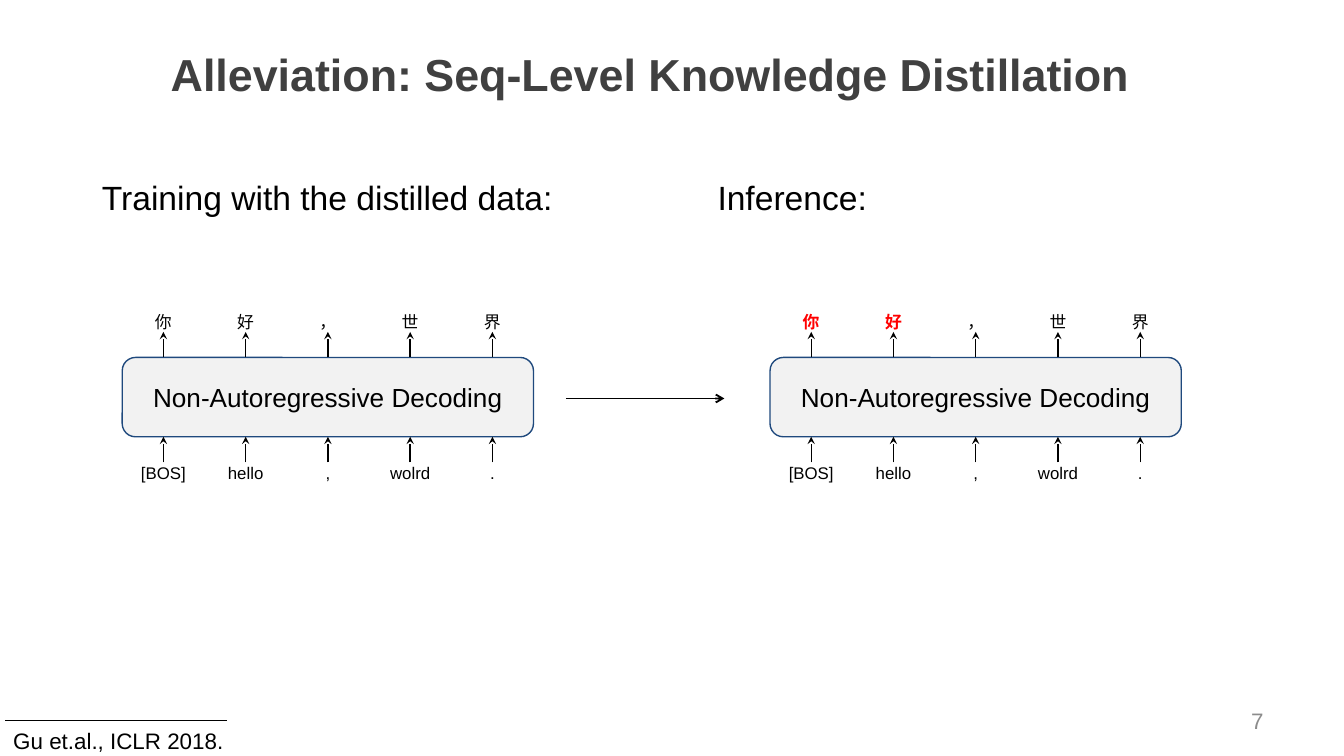
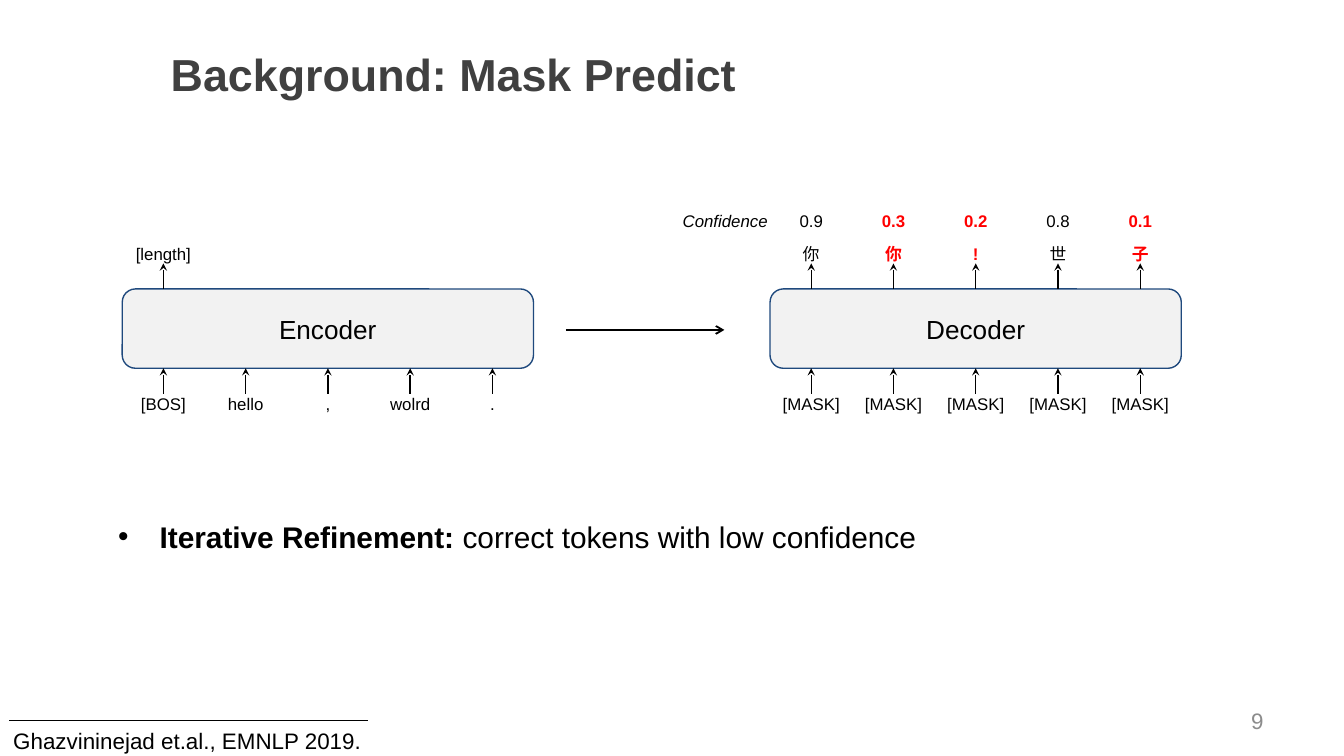
from lxml import etree
from pptx import Presentation
from pptx.dml.color import RGBColor
from pptx.enum.shapes import MSO_CONNECTOR, MSO_SHAPE
from pptx.enum.text import MSO_ANCHOR as ANCHOR, MSO_AUTO_SIZE as AUTO, PP_ALIGN as ALIGN
from pptx.oxml.ns import qn
from pptx.util import Emu, Pt

# Content: each panel has a label, input tokens, output tokens and the
# positions of the outputs in red
SOURCE = ["[BOS]", "hello", ",", "wolrd", "."]
TARGET = ["你", "好", "，", "世", "界"]
NAT = "Non-Autoregressive Decoding"
SLIDES = [
    {"title": "Alleviation: Seq-Level Knowledge Distillation", "title_w": 745,
     "number": "7", "cite": "Gu et.al., ICLR 2018.", "cite_w": 182, "rule": (4, 169),
     "box_y": 266,
     "panels": [(NAT, SOURCE, TARGET, ()), (NAT, SOURCE, TARGET, (0, 1))],
     "headings": [("Training with the distilled data:", 66, 359), ("Inference:", 524, 132)]},
    {"title": "Background: Mask Predict", "title_w": 493,
     "number": "9", "cite": "Ghazvininejad et.al., EMNLP 2019.", "cite_w": 295, "rule": (7, 274),
     "box_y": 215,
     "panels": [("Encoder", SOURCE, ["[length]"], ()),
                ("Decoder", ["[MASK]"] * 5, ["你", "你", "!", "世", "子"], (1, 2, 4))],
     "confidence": ["0.9", "0.3", "0.2", "0.8", "0.1"],
     "bullet": ("Iterative Refinement:", " correct tokens with low confidence")},
]

# Shared look and geometry, 100 px to the inch
SCALE = 9144
SLIDE_W = 1000
SLIDE_H = SLIDE_W * 9 / 16
FONT = "Arial"
BLACK, RED, DARK, GREY = "000000", "FF0000", "404040", "8C8C8C"
BOX_FILL, BOX_LINE, BOX_ALPHA = "EEEEEE", "1F497D", 74
PANEL_X = (91, 573)
BOX_W, BOX_H = 306, 59
STEP = BOX_W / 5
ARROW_H, TOKEN_H = 19, 15
SCORE_RISE = 24  # from output tokens up to their scores


def px(v):
    return Emu(round(v * SCALE))


def rgb(color):
    return RGBColor.from_string(color)


def style(font, size, color=BLACK, bold=False, italic=False):
    font.name, font.size = FONT, Pt(size)
    font.bold, font.italic = bold, italic
    font.color.rgb = rgb(color)


def add_text(s, text, x, y, w, h, size, color=BLACK, bold=False, italic=False,
             align=ALIGN.LEFT, anchor=ANCHOR.TOP, wrap=True):
    tf = s.shapes.add_textbox(px(x), px(y), px(w), px(h)).text_frame
    tf.word_wrap, tf.vertical_anchor = wrap, anchor
    p = tf.paragraphs[0]
    p.text, p.alignment = text, align
    style(p.font, size, color, bold, italic)
    return tf


def add_token(s, text, x, y, w=STEP, red=False, italic=False):
    tf = add_text(s, text, x, y, w, TOKEN_H, 9, RED if red else BLACK, red, italic, ALIGN.CENTER)
    tf.margin_left = tf.margin_right = px(5)
    tf.margin_top = tf.margin_bottom = 0


def add_line(s, x1, y1, x2, y2, width=0.75, head=None):
    c = s.shapes.add_connector(MSO_CONNECTOR.STRAIGHT, px(x1), px(y1), px(x2), px(y2))
    c.line.width, c.line.color.rgb = Pt(width), rgb(BLACK)
    if head:
        etree.SubElement(c.line._get_or_add_ln(), qn("a:tailEnd"), type=head, w="sm", len="sm")
    etree.SubElement(c._element.spPr, qn("a:effectLst"))


def add_frame(s, d):
    """Title, slide number and citation under its rule."""
    t = s.shapes.title
    t.left, t.top, t.width, t.height = px(117), px(19), px(d["title_w"]), px(71)
    tf = t.text_frame
    tf.text, tf.word_wrap, tf.auto_size = d["title"], True, AUTO.NONE
    tf.vertical_anchor = ANCHOR.MIDDLE
    p = tf.paragraphs[0]
    p.alignment = ALIGN.LEFT
    style(p.font, 24, DARK, True)
    add_text(s, d["number"], 717, 521, 233, 30, 12, GREY, align=ALIGN.RIGHT, anchor=ANCHOR.MIDDLE)
    x1, x2 = d["rule"]
    add_line(s, x1, 536, x2, 536)
    add_text(s, d["cite"], 0, 536, d["cite_w"], 30, 12)


def add_panel(s, x, y, label, inputs, outputs, red):
    """Model box with input arrows below and output arrows above."""
    box = s.shapes.add_shape(MSO_SHAPE.ROUNDED_RECTANGLE, px(x), px(y), px(BOX_W), px(BOX_H))
    box.shadow.inherit = False
    box.fill.solid()
    box.fill.fore_color.rgb = rgb(BOX_FILL)
    color = box._element.spPr.find(qn("a:solidFill"))[0]
    etree.SubElement(color, qn("a:alpha"), val=str(BOX_ALPHA * 1000))
    box.line.color.rgb, box.line.width = rgb(BOX_LINE), Pt(0.75)
    tf = box.text_frame
    tf.text, tf.vertical_anchor = label, ANCHOR.MIDDLE
    p = tf.paragraphs[0]
    p.alignment = ALIGN.CENTER
    style(p.font, 14)

    bottom = y + BOX_H
    rows = [(outputs, y, y - ARROW_H - TOKEN_H, red),
            (inputs, bottom + ARROW_H, bottom + ARROW_H, ())]
    for tokens, arrow_y, token_y, marked in rows:
        for i, token in enumerate(tokens):
            left = x + i * STEP
            mid = left + STEP / 2
            add_line(s, mid, arrow_y, mid, arrow_y - ARROW_H, head="stealth")
            add_token(s, token, left, token_y, red=i in marked)


def add_confidence(s, scores, y, red):
    add_token(s, "Confidence", 499, y, 81, italic=True)
    for i, score in enumerate(scores):
        add_token(s, score, PANEL_X[1] + i * STEP, y, red=i in red)


def add_bullet(s, lead, rest):
    p = add_text(s, lead, 78, 381, 621, 37, 16, wrap=False).paragraphs[0]
    p.runs[0].font.bold = True
    p.add_run().text = rest
    pPr = p._p.get_or_add_pPr()
    pPr.set("marL", str(px(31)))
    pPr.set("indent", str(px(-31)))
    # bullet goes before the default run properties
    font = etree.Element(qn("a:buFont"), typeface=FONT)
    char = etree.Element(qn("a:buChar"), char="•")
    pPr.insert(0, font)
    font.addnext(char)


def build():
    prs = Presentation()
    prs.slide_width, prs.slide_height = px(SLIDE_W), px(SLIDE_H)
    for d in SLIDES:
        s = prs.slides.add_slide(prs.slide_layouts[5])
        add_frame(s, d)
        y = d["box_y"]
        for x, panel in zip(PANEL_X, d["panels"]):
            add_panel(s, x, y, *panel)
        middle = y + BOX_H / 2 + 1
        add_line(s, 421, middle, 539, middle, 1, "arrow")
        for text, x, w in d.get("headings", []):
            add_text(s, text, x, 127, w, 40, 18, wrap=False)
        if "confidence" in d:
            score_y = y - ARROW_H - TOKEN_H - SCORE_RISE
            add_confidence(s, d["confidence"], score_y, d["panels"][1][3])
        if "bullet" in d:
            add_bullet(s, *d["bullet"])
    prs.save("out.pptx")


if __name__ == "__main__":
    build()
